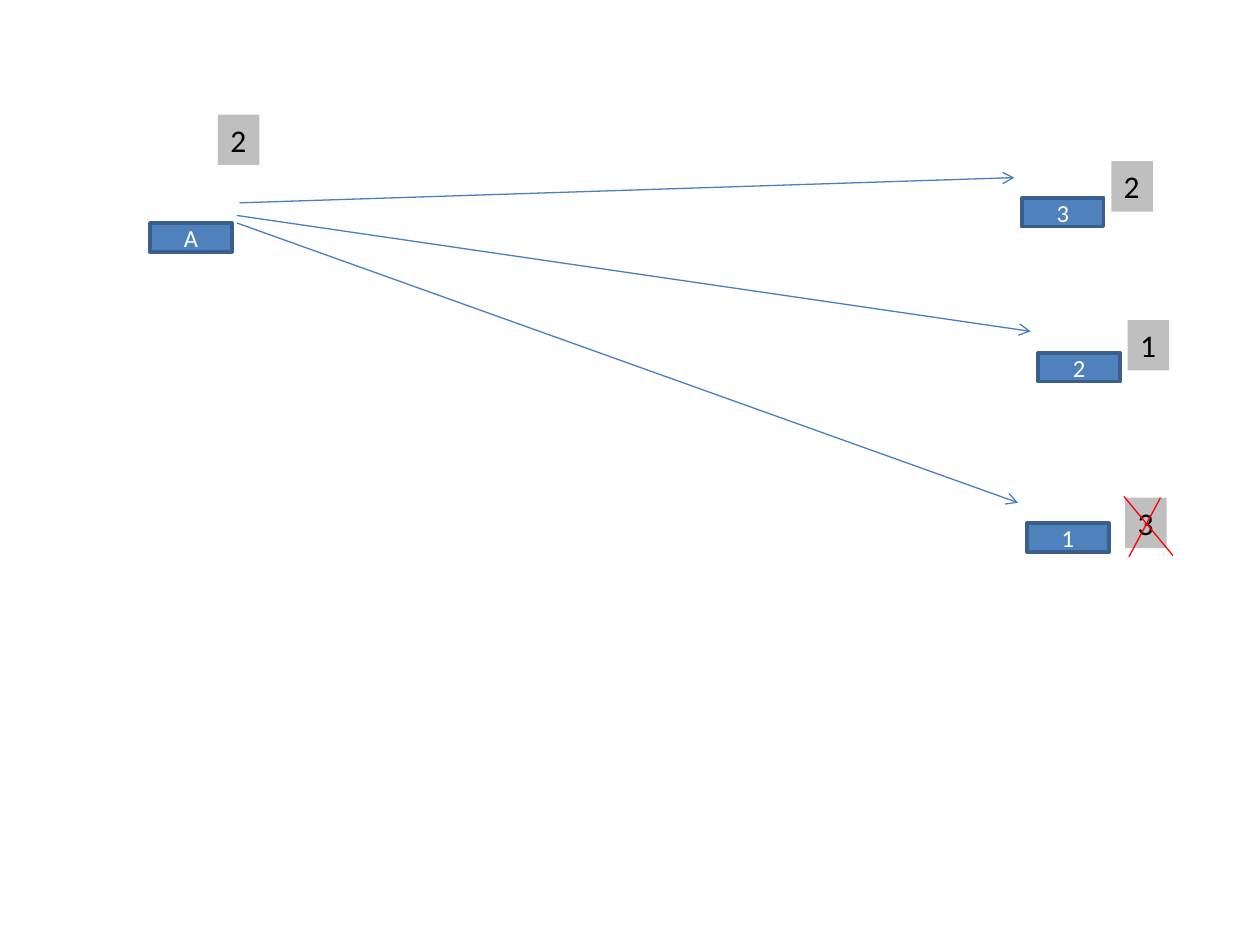
from pptx import Presentation
from pptx.dml.color import RGBColor as Rgb
from pptx.enum.shapes import MSO_CONNECTOR as Link, MSO_SHAPE as Form
from pptx.enum.text import MSO_ANCHOR as Anchor, MSO_AUTO_SIZE as Fit, PP_ALIGN as Align
from pptx.oxml.ns import qn
from pptx.util import Inches, Pt
from lxml.etree import SubElement

COLS, ROWS = 100, 75
WIDE, HIGH = Inches(10), Inches(7.5)

NODES = [("A", 11.9, 17.7), ("2", 82.4, 28), ("3", 81.1, 15.7), ("1", 81.5, 41.5)]
TAGS = [("2", 17.3, 9.1), ("2", 88.2, 12.8), ("1", 89.5, 25.4), ("3", 89.3, 39.5)]
ARROWS = [
    (18.8, 17.1, 81.8, 26.3),
    (19, 16.1, 80.5, 14.1),
    (18.8, 17.7, 80.8, 39.9),
]
CROSS = [(89.2, 39.4, 93.1, 44.1), (92.1, 39.5, 89.6, 44.2)]


def hue(code):
    return Rgb.from_string(code)


def grid(*cells):
    return [round(c * (HIGH / ROWS if i % 2 else WIDE / COLS)) for i, c in enumerate(cells)]


def write(frame, text, size=14, color="FFFFFF", align=Align.CENTER, anchor=Anchor.MIDDLE):
    frame.vertical_anchor = anchor
    para = frame.paragraphs[0]
    para.alignment = align
    run = para.add_run()
    run.text = text
    run.font.size = Pt(size)
    run.font.name = "Calibri"
    run.font.color.rgb = hue(color)


def node(slide, text, x, y):
    box = slide.shapes.add_shape(Form.RECTANGLE, *grid(x, y, 6.5, 2.3))
    box.shadow.inherit = False
    box.fill.solid()
    box.fill.fore_color.rgb = hue("4F81BD")
    box.line.color.rgb = hue("3A5F8C")
    box.line.width = Pt(2)
    write(box.text_frame, text)


def tag(slide, text, x, y):
    box = slide.shapes.add_textbox(*grid(x, y, 3.3, 4))
    box.fill.solid()
    box.fill.fore_color.rgb = hue("BFBFBF")
    frame = box.text_frame
    frame.word_wrap = False
    frame.auto_size = Fit.SHAPE_TO_FIT_TEXT
    write(frame, text, size=18, color="000000", align=Align.LEFT, anchor=Anchor.TOP)


def line(slide, ends, color, arrow=False):
    wire = slide.shapes.add_connector(Link.STRAIGHT, *grid(*ends))
    wire.line.color.rgb = hue(color)
    wire.line.width = Pt(0.75)
    if arrow:
        SubElement(wire.line._get_or_add_ln(), qn("a:tailEnd"), type="arrow")
    SubElement(wire._element.spPr, qn("a:effectLst"))


def main():
    deck = Presentation()
    deck.slide_width, deck.slide_height = WIDE, HIGH
    slide = deck.slides.add_slide(deck.slide_layouts[6])
    for item in NODES:
        node(slide, *item)
    for ends in ARROWS:
        line(slide, ends, "4B7EBC", arrow=True)
    for item in TAGS:
        tag(slide, *item)
    for ends in CROSS:
        line(slide, ends, "FF0000")
    deck.save("out.pptx")


if __name__ == "__main__":
    main()
